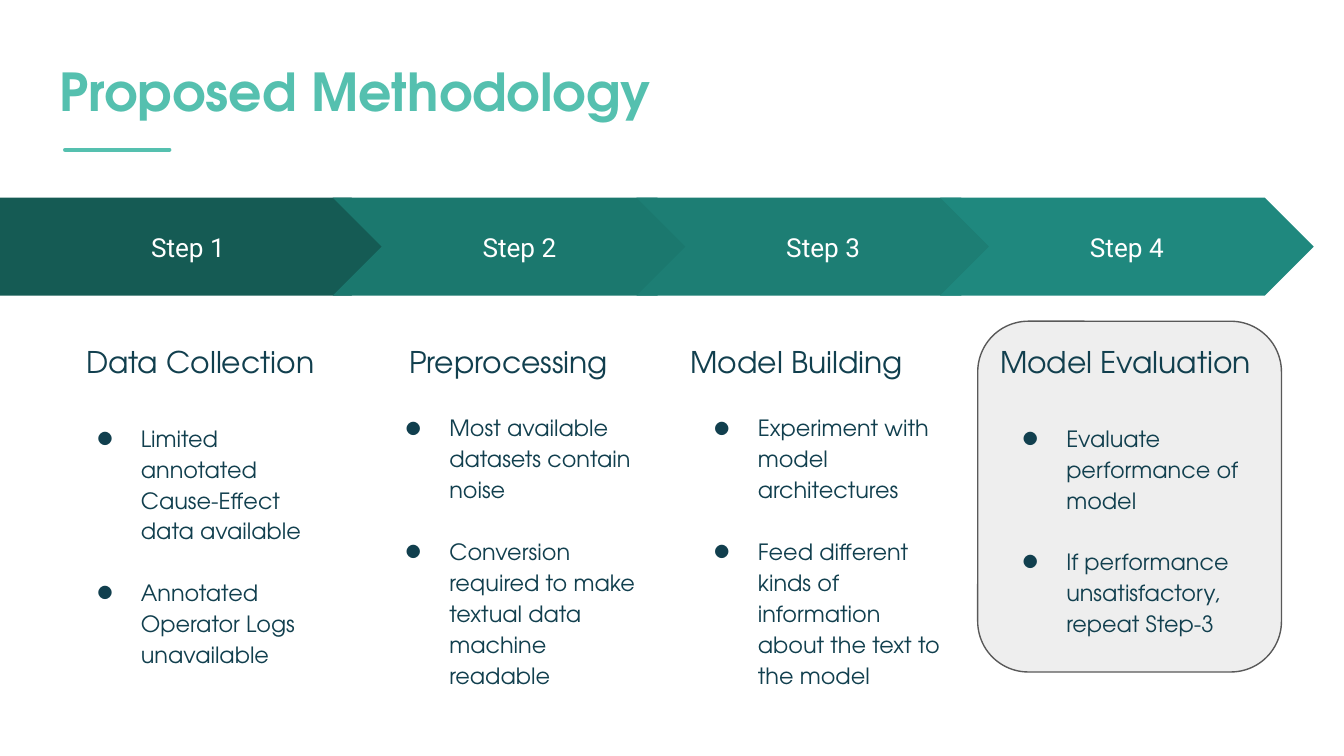
from pptx import Presentation
from pptx.dml.color import RGBColor
from pptx.enum.shapes import MSO_CONNECTOR as CONN, MSO_SHAPE as SHAPE
from pptx.enum.text import MSO_ANCHOR as ANCHOR, PP_ALIGN as ALIGN
from pptx.oxml.ns import qn
from pptx.util import Emu, Pt
from lxml.etree import SubElement

PX = 4572  # 200 px to the inch


class Theme:
    heading_font, step_font = "TeX Gyre Adventor", "Roboto"
    accent, ink, white = "55C0AF", "113F4E", "FFFFFF"
    panel, panel_line = "EEEEEE", "595959"
    steps = ["155B54", "1B786E", "1D7E74", "1F887E"]
    title, heading, step, body = 28, 16, 14, 12


def box(*lengths):
    return [Emu(n * PX) for n in lengths]


def style(p, font, size, color, bold=False):
    for r in p.runs:
        r.font.name, r.font.size, r.font.bold = font, Pt(size), bold
        r.font.color.rgb = RGBColor.from_string(color)


prs = Presentation()
prs.slide_width, prs.slide_height = box(2000, 1125)
s = prs.slides.add_slide(prs.slide_layouts[6])

# Highlight panel behind the last step
sp = s.shapes.add_shape(SHAPE.ROUNDED_RECTANGLE, *box(1455, 478, 452, 522))
sp.shadow.inherit = False
sp.fill.solid()
sp.fill.fore_color.rgb = RGBColor.from_string(Theme.panel)
sp.line.color.rgb = RGBColor.from_string(Theme.panel_line)
sp.line.width = Pt(0.75)

# Title and underline
tf = s.shapes.add_textbox(*box(69, 43, 1864, 184)).text_frame
tf.word_wrap = True
tf.vertical_anchor = ANCHOR.MIDDLE
tf.text = "Proposed Methodology"
style(tf.paragraphs[0], Theme.heading_font, Theme.title, Theme.accent, True)

rule = s.shapes.add_connector(CONN.STRAIGHT, *box(97, 223, 252, 223))
rule.line.color.rgb = RGBColor.from_string(Theme.accent)
rule.line.width = Pt(2.25)
rule.line._get_or_add_ln().set("cap", "rnd")
SubElement(rule._element.spPr, qn("a:effectLst"))

# Steps: heading, heading alignment, gap under the heading (pt), bullets
steps = [
    ("Data Collection", ALIGN.CENTER, 22,
     ["Limited annotated Cause-Effect data available",
      "Annotated Operator Logs unavailable"]),
    ("Preprocessing", ALIGN.CENTER, 16.5,
     ["Most available datasets contain noise",
      "Conversion required to make textual data machine readable"]),
    ("Model Building", ALIGN.LEFT, 16.5,
     ["Experiment with model architectures",
      "Feed different kinds of information about the text to the model"]),
    ("Model Evaluation", ALIGN.CENTER, 22,
     ["Evaluate performance of model",
      "If performance unsatisfactory, repeat Step-3"]),
]
BULLET_GAP = 16.5

for i, (heading, align, heading_gap, bullets) in enumerate(steps):
    # Arrow
    if i == 0:
        kind, left, width = SHAPE.PENTAGON, 0, 596
    else:
        kind, left, width = SHAPE.CHEVRON, 495 + 452 * (i - 1), 556
    sp = s.shapes.add_shape(kind, *box(left, 294, width, 146))
    sp.shadow.inherit = False
    sp.fill.solid()
    sp.fill.fore_color.rgb = RGBColor.from_string(Theme.steps[i])
    sp.line.fill.background()
    tf = sp.text_frame
    tf.vertical_anchor = ANCHOR.MIDDLE
    tf.text = f"Step {i + 1}"
    tf.paragraphs[0].alignment = ALIGN.CENTER
    style(tf.paragraphs[0], Theme.step_font, Theme.step, Theme.white)

    # Heading and bullets
    tf = s.shapes.add_textbox(*box(90 + 459 * i, 484, 416, 572)).text_frame
    tf.word_wrap = True
    tf.margin_left, tf.margin_top, tf.margin_right, tf.margin_bottom = box(20, 20, 20, 20)
    p = tf.paragraphs[0]
    p.text, p.alignment, p.line_spacing = heading, align, 1.15
    style(p, Theme.heading_font, Theme.heading, Theme.ink)
    for gap, text in zip((heading_gap, BULLET_GAP), bullets):
        p = tf.add_paragraph()
        p.text, p.line_spacing, p.space_before = text, 1.15, Pt(gap)
        style(p, Theme.heading_font, Theme.body, Theme.ink)
        pPr = p._p.get_or_add_pPr()
        pPr.set("marL", str(100 * PX))
        pPr.set("indent", str(-66 * PX))
        color = SubElement(pPr, qn("a:buClr"))
        SubElement(color, qn("a:srgbClr"), val=Theme.ink)
        SubElement(pPr, qn("a:buFont"), typeface=Theme.heading_font)
        SubElement(pPr, qn("a:buChar"), char="●")

prs.save("out.pptx")
